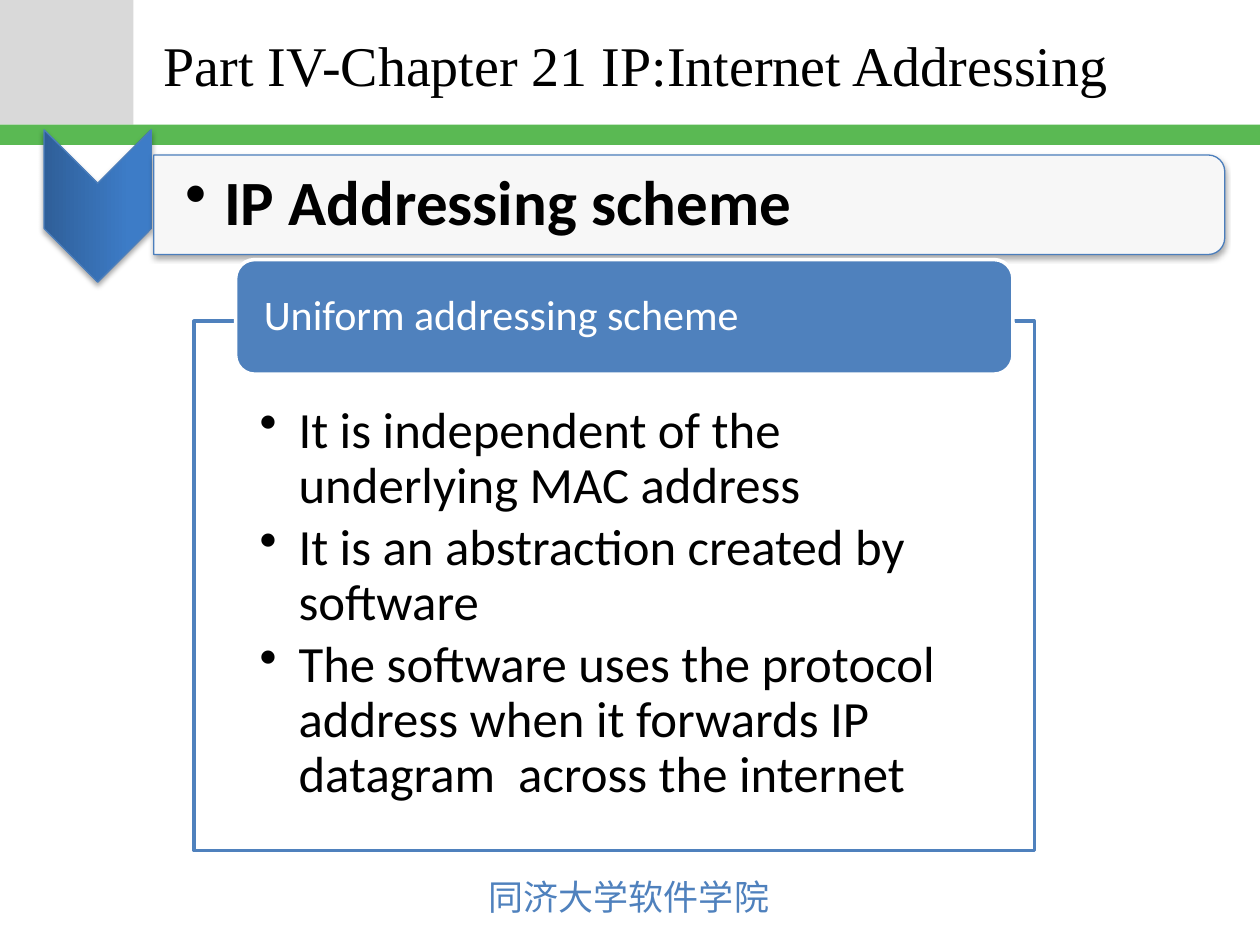
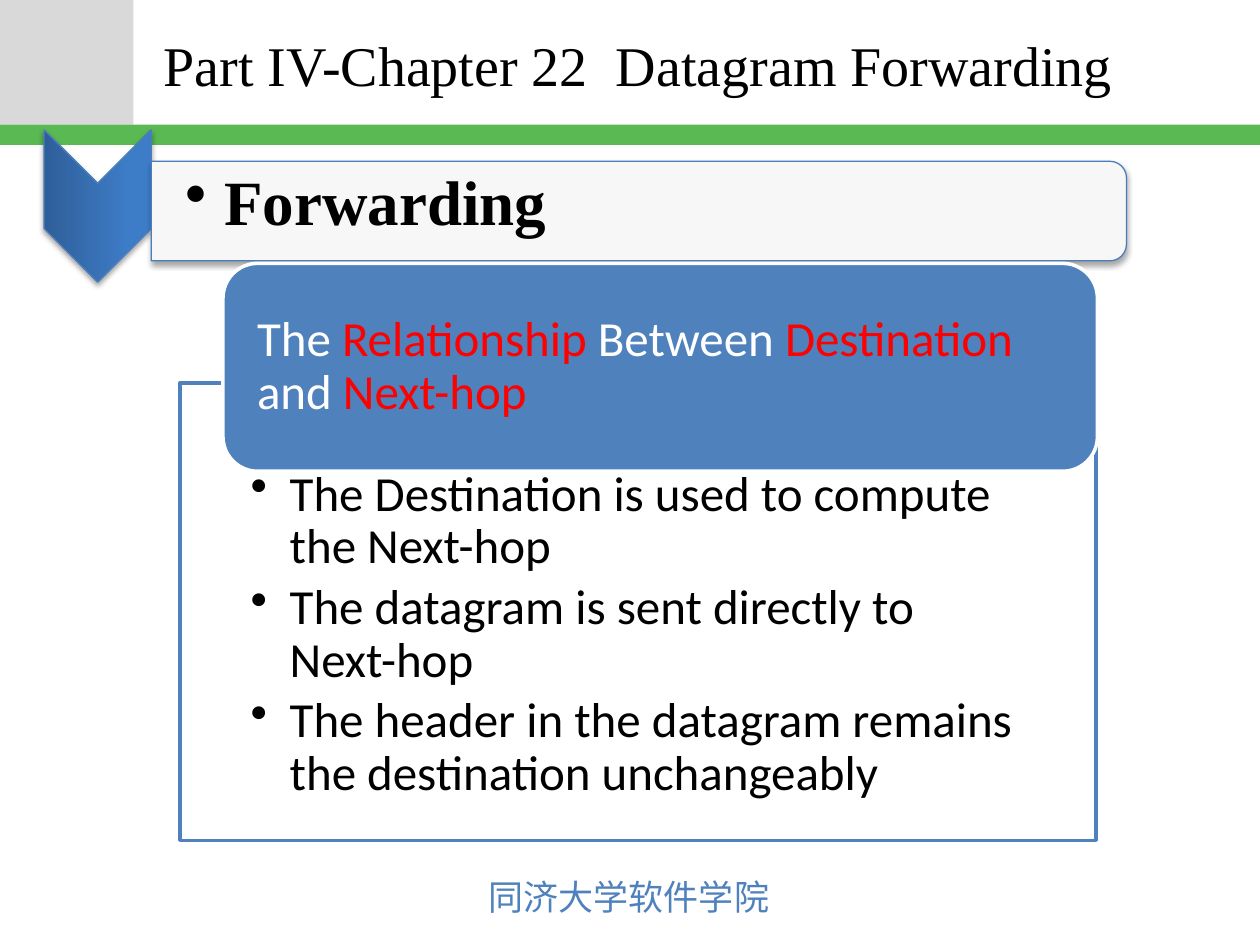
from lxml.etree import SubElement
from pptx import Presentation
from pptx.dml.color import RGBColor
from pptx.enum.shapes import MSO_SHAPE
from pptx.enum.text import MSO_ANCHOR, MSO_AUTO_SIZE, PP_ALIGN
from pptx.oxml.ns import qn
from pptx.util import Inches, Pt

BLACK = RGBColor(0x00, 0x00, 0x00)
WHITE = RGBColor(0xFF, 0xFF, 0xFF)
RED = RGBColor(0xFF, 0x00, 0x00)
BLUE = RGBColor(0x4F, 0x81, 0xBD)
EDGE_BLUE = RGBColor(0x4B, 0x7E, 0xBC)
DARK_BLUE = RGBColor(0x2F, 0x5F, 0x99)
BRIGHT_BLUE = RGBColor(0x3D, 0x7C, 0xC7)
GREEN = RGBColor(0x5A, 0xB9, 0x53)
GREY = RGBColor(0xD9, 0xD9, 0xD9)
PALE_GREY = RGBColor(0xF7, 0xF7, 0xF7)

SANS, SERIF, CHINESE = "Calibri", "Times New Roman", "Noto Sans CJK JP"
FOOTER = "同济大学软件学院"

SLIDES = [
    {
        "title": "Part IV-Chapter 21 IP:Internet Addressing",
        "topic": "IP Addressing scheme",
        "topic_font": SANS,
        "banner": (1.22, 1.23, 8.5, 0.79),
        "tab": (1.87, 2.06, 6.17, 0.91),
        "tab_size": 24,
        "tab_inset": 0.18,
        "heading": [("Uniform addressing scheme", WHITE)],
        "panel": (1.54, 2.55, 6.67, 4.2),
        "panel_size": 29,
        "panel_insets": (0.52, 0.66, 0.52, 0.23),
        "points": [
            "It is independent of the underlying MAC address",
            "It is an abstraction created by software",
            "The software uses the protocol address when it forwards IP datagram  across the internet",
        ],
    },
    {
        "title": "Part IV-Chapter 22  Datagram Forwarding",
        "topic": "Forwarding",
        "topic_font": SERIF,
        "banner": (1.2, 1.28, 7.74, 0.79),
        "tab": (1.77, 2.09, 6.94, 1.65),
        "tab_size": 28,
        "tab_inset": 0.19,
        "heading": [
            ("The ", WHITE), ("Relationship", RED), (" Between ", WHITE),
            ("Destination", RED), (" and ", WHITE), ("Next-hop", RED),
        ],
        "panel": (1.43, 3.04, 7.27, 3.63),
        "panel_size": 28,
        "panel_insets": (0.56, 0.68, 0.56, 0.22),
        "points": [
            "The Destination is used to compute the Next-hop",
            "The datagram is sent directly to Next-hop",
            "The header in the datagram remains the destination unchangeably",
        ],
    },
]


def add_box(slide, kind, box, fill, line=None, line_width=2):
    shape = slide.shapes.add_shape(kind, *map(Inches, box))
    shape.shadow.inherit = False
    if fill:
        shape.fill.solid()
        shape.fill.fore_color.rgb = fill
    if line:
        shape.line.color.rgb = line
        shape.line.width = Pt(line_width)
    else:
        shape.line.fill.background()
    return shape


def add_turned_box(slide, kind, box, fill):
    """Add a shadowed shape turned by 90 degrees that covers the given box."""
    left, top, width, height = box
    shift = (width - height) / 2
    shape = add_box(slide, kind, (left + shift, top - shift, height, width), fill, EDGE_BLUE, 0.75)
    shape.rotation = 90
    effects = shape.element.spPr.find(qn("a:effectLst"))
    shadow = SubElement(effects, qn("a:outerShdw"), blurRad="40000", dist="23000", dir="5400000", rotWithShape="0")
    color = SubElement(shadow, qn("a:srgbClr"), val="000000")
    SubElement(color, qn("a:alpha"), val="35000")
    return shape


def set_frame(frame, insets, anchor):
    frame.word_wrap = True
    frame.vertical_anchor = anchor
    frame.margin_left, frame.margin_top, frame.margin_right, frame.margin_bottom = map(Inches, insets)


def add_run(paragraph, text, size, font, color, bold=False):
    run = paragraph.add_run()
    run.text = text
    run.font.size = Pt(size)
    run.font.name = font
    run.font.color.rgb = color
    run.font.bold = bold
    return run


def add_bullets(frame, texts, size, font, bold=False):
    for index, text in enumerate(texts):
        paragraph = frame.add_paragraph() if index else frame.paragraphs[0]
        paragraph.level = 1
        paragraph.alignment = PP_ALIGN.LEFT
        paragraph.line_spacing = 0.9
        paragraph.space_after = Pt(round(size * 0.15, 1))
        properties = paragraph._p.get_or_add_pPr()
        properties.set("marL", str(Inches(0.31)))
        properties.set("indent", str(Inches(-0.31)))
        SubElement(properties, qn("a:buChar"), char="•")
        add_run(paragraph, text, size, font, BLACK, bold)


def add_frame_parts(slide, title_text):
    add_box(slide, MSO_SHAPE.RECTANGLE, (0, 0, 1.06, 0.99), GREY)
    add_box(slide, MSO_SHAPE.RECTANGLE, (0, 0.99, 10, 0.16), GREEN)

    footer = slide.shapes.add_textbox(*map(Inches, (3.78, 6.9, 2.45, 0.44)))
    footer.text_frame.word_wrap = False
    footer.text_frame.auto_size = MSO_AUTO_SIZE.SHAPE_TO_FIT_TEXT
    run = add_run(footer.text_frame.paragraphs[0], FOOTER, 20, CHINESE, BLUE)
    SubElement(run._r.get_or_add_rPr(), qn("a:ea"), typeface=CHINESE)

    title = slide.shapes.title
    title.left, title.top, title.width, title.height = map(Inches, (1.2, 0.02, 8.6, 0.98))
    title.text_frame.vertical_anchor = MSO_ANCHOR.MIDDLE
    paragraph = title.text_frame.paragraphs[0]
    paragraph.alignment = PP_ALIGN.LEFT
    add_run(paragraph, title_text, 32, SERIF, BLACK)


def add_topic(slide, content):
    chevron = add_turned_box(slide, MSO_SHAPE.CHEVRON, (0.35, 1.03, 0.85, 1.21), None)
    chevron.fill.gradient()
    chevron.fill.gradient_angle = 90
    for stop, position, color in zip(chevron.fill.gradient_stops, (0, 0.8), (DARK_BLUE, BRIGHT_BLUE)):
        stop.position = position
        stop.color.rgb = color

    banner = content["banner"]
    add_turned_box(slide, MSO_SHAPE.ROUND_2_SAME_RECTANGLE, banner, PALE_GREY)
    label = slide.shapes.add_textbox(*map(Inches, (1.22, 1.27, banner[2] - 0.03, 0.71)))
    set_frame(label.text_frame, (0.25, 0.02, 0.02, 0.02), MSO_ANCHOR.MIDDLE)
    add_bullets(label.text_frame, [content["topic"]], 36, content["topic_font"], True)


def add_panel(slide, content):
    panel = add_box(slide, MSO_SHAPE.RECTANGLE, content["panel"], WHITE, BLUE)
    set_frame(panel.text_frame, content["panel_insets"], MSO_ANCHOR.TOP)
    add_bullets(panel.text_frame, content["points"], content["panel_size"], SANS)

    tab = add_box(slide, MSO_SHAPE.ROUNDED_RECTANGLE, content["tab"], BLUE, WHITE)
    inset = content["tab_inset"]
    set_frame(tab.text_frame, (inset, 0, inset, 0), MSO_ANCHOR.MIDDLE)
    paragraph = tab.text_frame.paragraphs[0]
    paragraph.alignment = PP_ALIGN.LEFT
    paragraph.line_spacing = 0.9
    for text, color in content["heading"]:
        add_run(paragraph, text, content["tab_size"], SANS, color)


def main():
    presentation = Presentation()
    presentation.slide_width, presentation.slide_height = Inches(10), Inches(7.5)
    title_only = presentation.slide_layouts[5]
    for content in SLIDES:
        slide = presentation.slides.add_slide(title_only)
        add_frame_parts(slide, content["title"])
        add_topic(slide, content)
        add_panel(slide, content)
    presentation.save("out.pptx")


if __name__ == "__main__":
    main()
